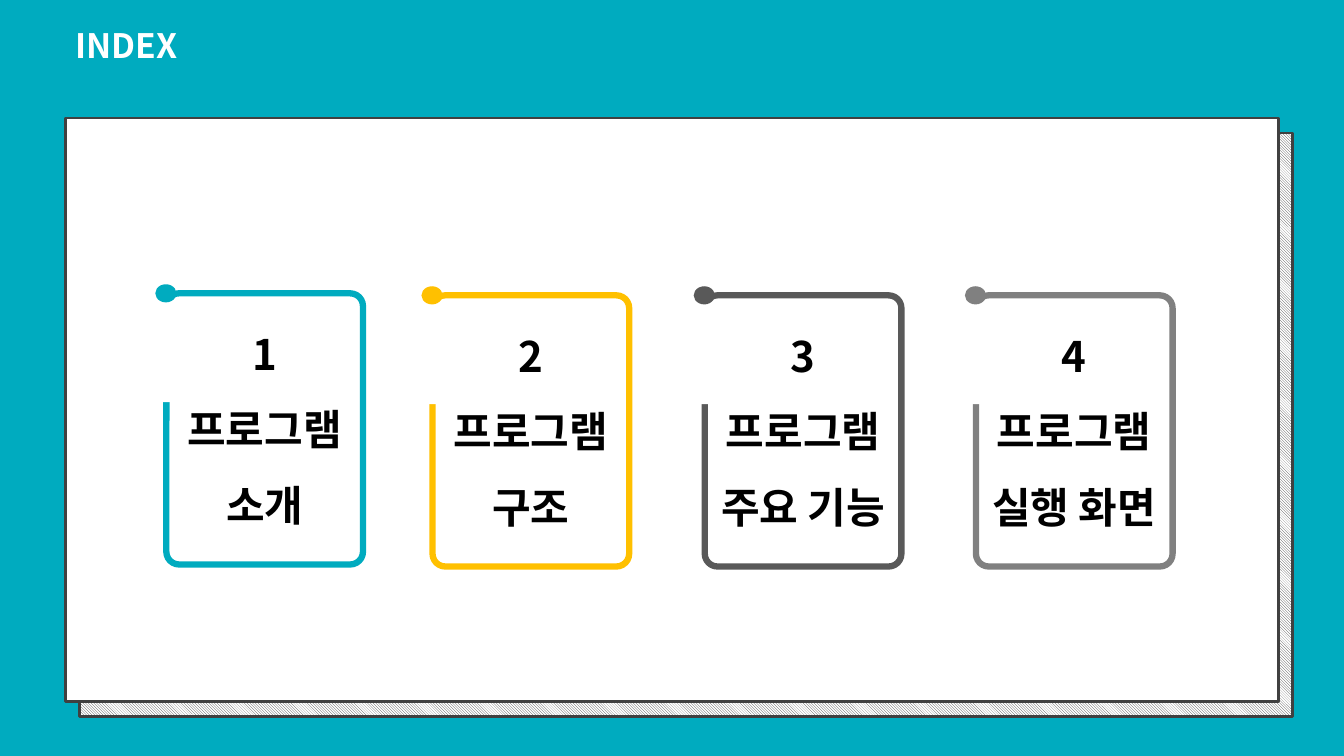
from lxml import etree
from pptx import Presentation
from pptx import util as u
from pptx.dml import color
from pptx.enum import dml, shapes, text
from pptx.oxml import ns

FONT = "Noto Sans CJK KR"
COLORS = {
    "teal": "00ABBF",
    "yellow": "FFC000",
    "charcoal": "595959",
    "gray": "808080",
    "border": "404040",
    "white": "FFFFFF",
    "black": "000000",
}
CHAPTERS = [
    (1.65, 2.91, "teal", "프로그램 소개"),
    (4.29, 2.93, "yellow", "프로그램구조"),
    (6.99, 2.93, "charcoal", "프로그램 주요 기능"),
    (9.68, 2.93, "gray", "프로그램 실행 화면"),
]


def rgb(name):
    return color.RGBColor.from_string(COLORS[name])


def write_text(frame, lines, size, ink, align=text.PP_ALIGN.LEFT,
               anchor=text.MSO_ANCHOR.TOP, bottom=0.05):
    frame.word_wrap = True
    frame.vertical_anchor = anchor
    frame.margin_bottom = u.Inches(bottom)
    for index, line in enumerate(lines):
        paragraph = frame.paragraphs[0] if index == 0 else frame.add_paragraph()
        paragraph.alignment = align
        paragraph.line_spacing = 1.5
        run = paragraph.add_run()
        run.text = line
        run.font.name = FONT
        run.font.size = u.Pt(size)
        run.font.bold = True
        run.font.color.rgb = rgb(ink)
        east_asian = etree.SubElement(run.font._element, ns.qn("a:ea"))
        east_asian.set("typeface", FONT)


def add_box(slide, preset, box, fill, line=None, width=0):
    shape = slide.shapes.add_shape(preset, *map(u.Inches, box))
    shape.shadow.inherit = False
    shape.fill.solid()
    shape.fill.fore_color.rgb = rgb(fill)
    if line:
        shape.line.color.rgb = rgb(line)
        shape.line.width = u.Pt(width)
    else:
        shape.line.fill.background()
    return shape


def add_panel(slide):
    rectangle = shapes.MSO_SHAPE.RECTANGLE
    hatch = add_box(slide, rectangle, (0.79, 1.32, 12.03, 5.79), "white", "border", 2)
    hatch.fill.patterned()
    hatch.fill.pattern = dml.MSO_PATTERN.DARK_DOWNWARD_DIAGONAL
    hatch.fill.fore_color.rgb = rgb("border")
    hatch.fill.back_color.rgb = rgb("white")
    add_box(slide, rectangle, (0.65, 1.17, 12.03, 5.79), "white", "border", 2)


def add_chapter(slide, number, left, top, accent, title):
    preset = shapes.MSO_SHAPE
    card = add_box(slide, preset.ROUNDED_RECTANGLE, (left, top, 1.95, 2.69),
                   "white", accent, 4.5)
    card.adjustments[0] = 0.065
    write_text(card.text_frame, [str(number), title], 30, "black",
               align=text.PP_ALIGN.CENTER, anchor=text.MSO_ANCHOR.MIDDLE, bottom=0.3)
    add_box(slide, preset.RECTANGLE, (left - 0.16, top + 0.07, 0.32, 1.01), "white")
    add_box(slide, preset.OVAL, (left - 0.11, top - 0.09, 0.21, 0.18), accent)


def main():
    deck = Presentation()
    deck.slide_width = u.Inches(13.33)
    deck.slide_height = u.Inches(7.5)
    slide = deck.slides.add_slide(deck.slide_layouts[6])
    slide.background.fill.solid()
    slide.background.fill.fore_color.rgb = rgb("teal")

    add_panel(slide)
    heading = slide.shapes.add_textbox(*map(u.Inches, (0.65, 0, 6.03, 0.64)))
    write_text(heading.text_frame, ["INDEX"], 24, "white")
    for number, chapter in enumerate(CHAPTERS, start=1):
        add_chapter(slide, number, *chapter)

    deck.save("out.pptx")


if __name__ == "__main__":
    main()
